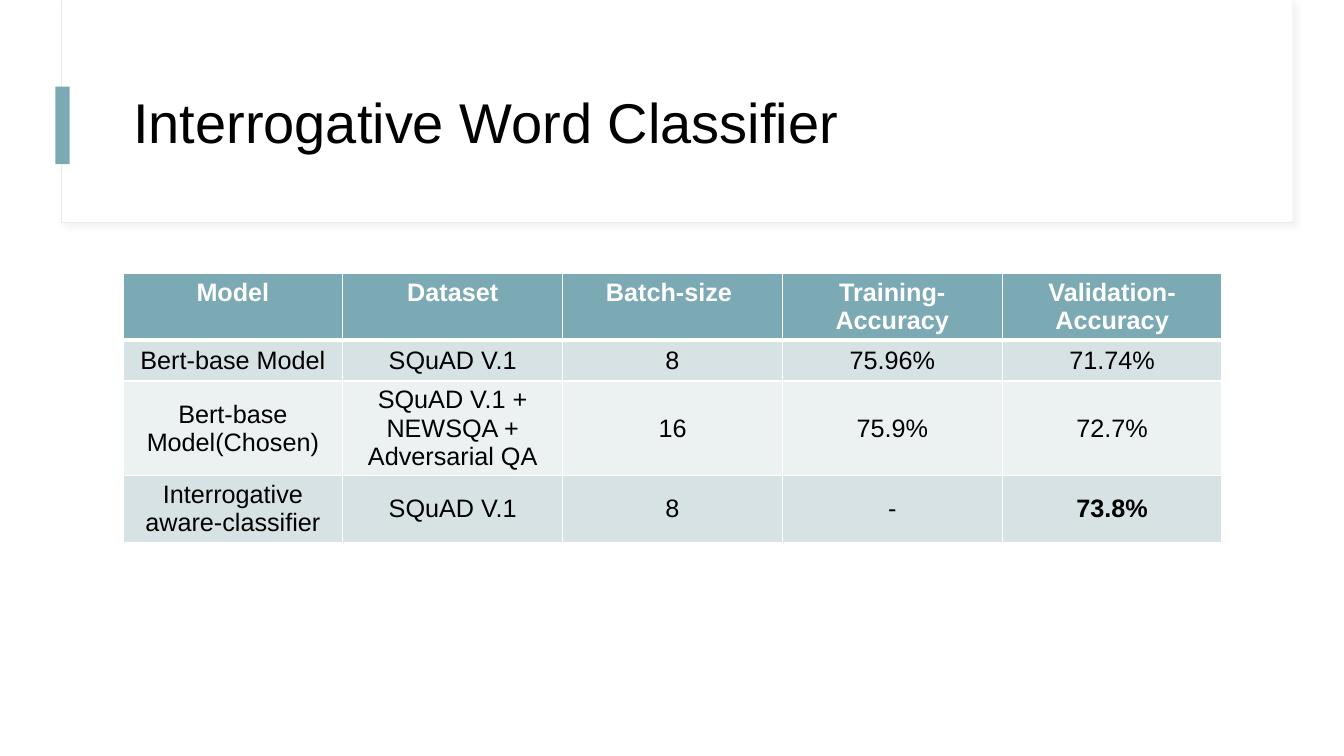
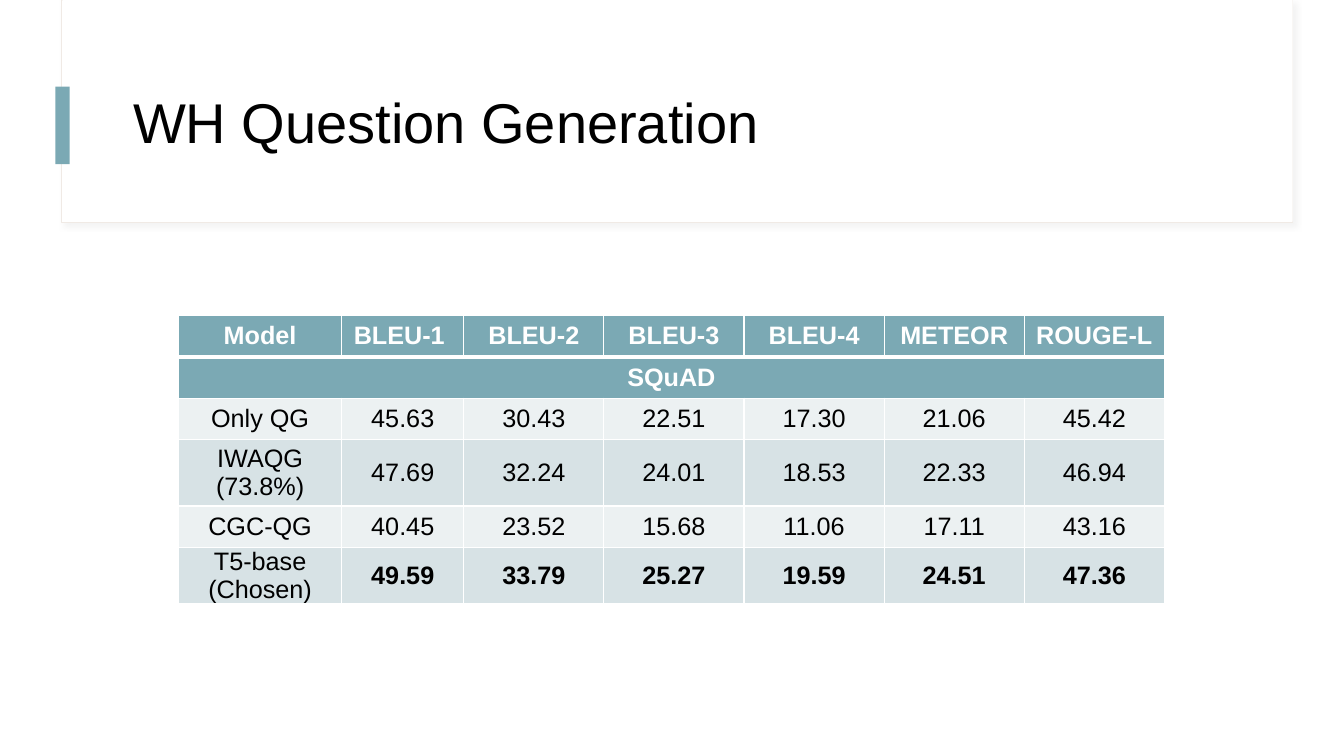
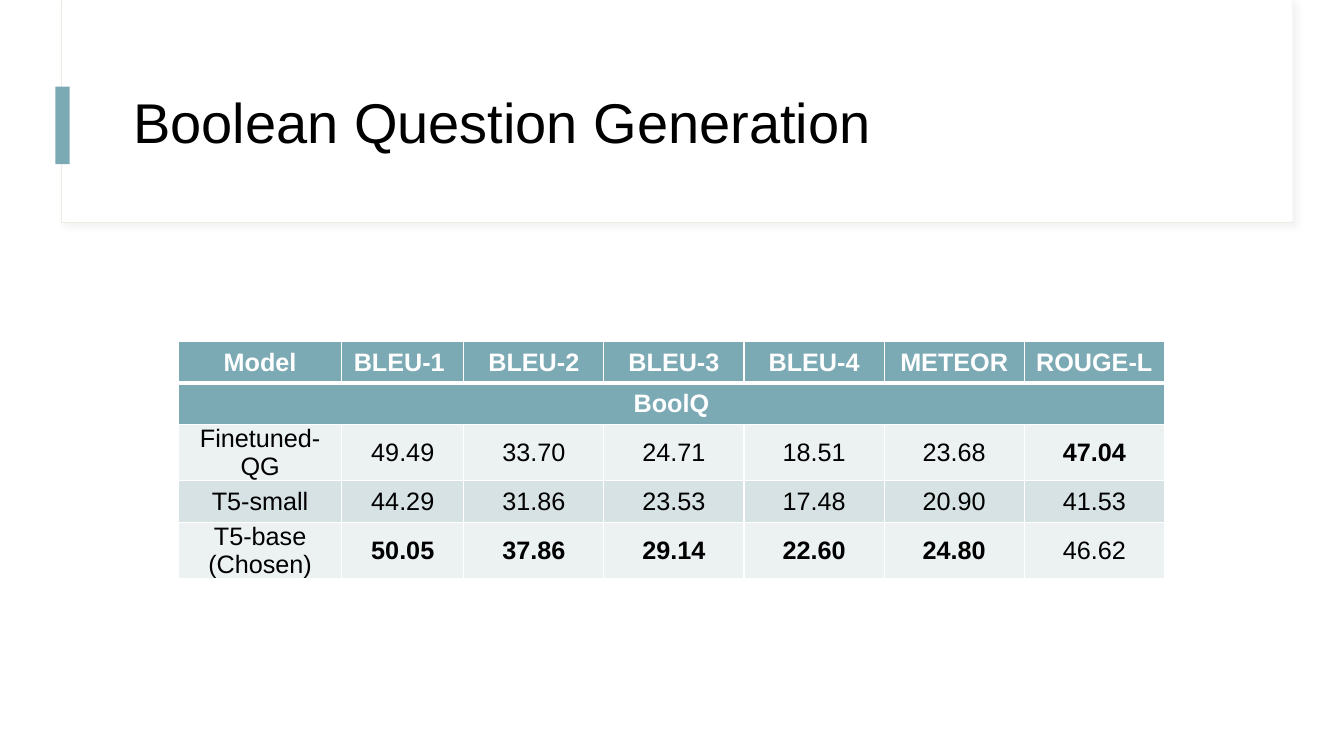
from dataclasses import dataclass

from lxml.etree import SubElement
from pptx import Presentation
from pptx.dml.color import RGBColor
from pptx.enum.shapes import MSO_SHAPE as Shape
from pptx.enum.text import MSO_ANCHOR as Anchor, MSO_AUTO_SIZE as AutoSize, PP_ALIGN as Align
from pptx.oxml.ns import qn
from pptx.util import Inches, Pt


@dataclass(frozen=True)
class Theme:
    font: str = "Arial"
    title_size: int = 40
    cell_size: int = 18
    accent: str = "7BA9B4"
    bands: tuple = ("D7E2E5", "ECF1F2")
    frame: str = "F0EAE5"
    shadow: str = "D9D9D9"
    text: str = "000000"
    paper: str = "FFFFFF"
    row_height: float = 0.41
    grid_line: float = 1
    header_line: float = 3


THEME = Theme()
SLIDE_SIZE = (13.33, 7.5)
TITLE_BOX = (1.22, 0.6, 11.12, 1.29)

# Content: a row with one entry spans the table; "best" values are bold,
# "tight" rows have no space above and below the text
SCORES = ["Model", "BLEU-1 ", "BLEU-2", "BLEU-3", "BLEU-4", "METEOR", "ROUGE-L"]
SCORE_COLUMNS = [1.62, 1.21] + [1.39] * 5

SLIDES = [
    {
        "title": "Interrogative Word Classifier",
        "corner": (1.22, 2.71),
        "columns": [2.18] * 5,
        "header_anchor": Anchor.TOP,
        "rows": [
            ["Model", "Dataset", "Batch-size ", "Training-Accuracy", "Validation-Accuracy"],
            ["Bert-base Model", "SQuAD V.1", " 8 ", "75.96%", "71.74%"],
            ["Bert-base Model(Chosen)", "SQuAD V.1 + NEWSQA +\nAdversarial QA",
             "16", "75.9%", "72.7%"],
            ["Interrogative aware-classifier", "SQuAD V.1", "8", "-", "73.8%"],
        ],
        "best": {"73.8%"},
        "tight": set(),
    },
    {
        "title": "WH Question Generation",
        "corner": (1.77, 3.13),
        "columns": SCORE_COLUMNS,
        "header_anchor": Anchor.MIDDLE,
        "rows": [
            SCORES,
            ["SQuAD"],
            ["Only QG", "45.63", "30.43", "22.51", "17.30", "21.06", "45.42"],
            ["IWAQG (73.8%)", "47.69", "32.24", "24.01", "18.53", "22.33", "46.94"],
            ["CGC-QG", "40.45", "23.52", "15.68", "11.06", "17.11", "43.16"],
            ["T5-base\n(Chosen)", "49.59", "33.79", "25.27", "19.59", "24.51", "47.36"],
        ],
        "best": {"49.59", "33.79", "25.27", "19.59", "24.51", "47.36"},
        "tight": {4, 5},
    },
    {
        "title": "Boolean Question Generation",
        "corner": (1.77, 3.39),
        "columns": SCORE_COLUMNS,
        "header_anchor": Anchor.MIDDLE,
        "rows": [
            SCORES,
            ["BoolQ"],
            ["Finetuned-QG", "49.49", "33.70", "24.71", "18.51", "23.68", "47.04"],
            ["T5-small", "44.29", "31.86", "23.53", "17.48", "20.90", "41.53"],
            ["T5-base\n(Chosen)", "50.05", "37.86", "29.14", "22.60", "24.80", "46.62"],
        ],
        "best": {"47.04", "50.05", "37.86", "29.14", "22.60", "24.80"},
        "tight": {2, 4},
    },
]


def rgb(color):
    return RGBColor.from_string(color)


def inches(*lengths):
    return [Inches(length) for length in lengths]


def format_text(frame, size, color, align):
    for paragraph in frame.paragraphs:
        paragraph.alignment = align
        for run in paragraph.runs:
            run.font.name = THEME.font
            run.font.size = Pt(size)
            run.font.color.rgb = rgb(color)


# Shared layout: title frame, accent bar and title position
def add_panel(slide, box, fill, line=None):
    panel = slide.shapes.add_shape(Shape.RECTANGLE, *inches(*box))
    panel.shadow.inherit = False
    panel.fill.solid()
    panel.fill.fore_color.rgb = rgb(fill)
    if line:
        panel.line.color.rgb = rgb(line)
        panel.line.width = Pt(0.75)
    else:
        panel.line.fill.background()
    return panel


def add_soft_shadow(panel):
    effects = panel._element.spPr.find(qn("a:effectLst"))
    shadow = SubElement(effects, qn("a:outerShdw"), blurRad=str(Pt(4)), dist=str(Pt(3)),
                        dir=str(45 * 60000), algn="tl", rotWithShape="0")
    color = SubElement(shadow, qn("a:srgbClr"), val=THEME.shadow)
    SubElement(color, qn("a:alpha"), val="30000")


def decorate_layout(layout, slide):
    """Draw the frame on a slide, then move it behind the layout's title."""
    frame = add_panel(slide, (0.61, 0, 12.21, 2.21), THEME.paper, THEME.frame)
    add_soft_shadow(frame)
    face = add_panel(slide, (0.62, 0, 12.2, 2.2), THEME.paper)
    bar = add_panel(slide, (0.55, 0.86, 0.14, 0.77), THEME.accent)
    for position, panel in enumerate((frame, face, bar), start=2):
        layout.shapes._spTree.insert(position, panel._element)
    title = layout.placeholders[0]
    title.left, title.top, title.width, title.height = inches(*TITLE_BOX)


def set_title(slide, text):
    frame = slide.shapes.title.text_frame
    frame.text = text
    frame.auto_size = AutoSize.NONE
    frame.vertical_anchor = Anchor.MIDDLE
    frame.paragraphs[0].line_spacing = 0.9
    format_text(frame, THEME.title_size, THEME.text, Align.LEFT)


# Tables
def set_borders(cell, row):
    widths = {
        "lnL": THEME.grid_line,
        "lnR": THEME.grid_line,
        "lnT": THEME.header_line if row == 1 else THEME.grid_line,
        "lnB": THEME.header_line if row == 0 else THEME.grid_line,
    }
    properties = cell._tc.get_or_add_tcPr()
    for side, width in widths.items():
        line = SubElement(properties, qn(f"a:{side}"), w=str(Pt(width)))
        fill = SubElement(line, qn("a:solidFill"))
        SubElement(fill, qn("a:srgbClr"), val=THEME.paper)


def add_results(slide, content):
    rows, columns = content["rows"], content["columns"]
    table = slide.shapes.add_table(
        len(rows), len(columns),
        *inches(*content["corner"], sum(columns), THEME.row_height * len(rows))).table
    for column, width in zip(table.columns, columns):
        column.width = Inches(width)

    for r, values in enumerate(rows):
        spans = len(values) == 1
        heading = r == 0 or spans
        if spans:
            table.cell(r, 0).merge(table.cell(r, len(columns) - 1))
        for c in range(len(columns)):
            cell = table.cell(r, c)
            set_borders(cell, r)
            cell.fill.solid()
            cell.fill.fore_color.rgb = rgb(THEME.accent if heading else THEME.bands[(r - 1) % 2])
            cell.vertical_anchor = Anchor.MIDDLE if r else content["header_anchor"]
            if r in content["tight"]:
                cell.margin_left = cell.margin_right = Inches(0.07)
                cell.margin_top = cell.margin_bottom = 0
            if c >= len(values):
                continue
            cell.text_frame.text = values[c]
            format_text(cell.text_frame, THEME.cell_size,
                        THEME.paper if heading else THEME.text, Align.CENTER)
            for paragraph in cell.text_frame.paragraphs:
                for run in paragraph.runs:
                    run.font.bold = heading or values[c] in content["best"]


def main():
    deck = Presentation()
    deck.slide_width, deck.slide_height = inches(*SLIDE_SIZE)
    layout = deck.slide_layouts.get_by_name("Title Only")
    for number, content in enumerate(SLIDES):
        slide = deck.slides.add_slide(layout)
        if number == 0:
            decorate_layout(layout, slide)
        set_title(slide, content["title"])
        add_results(slide, content)
    deck.save("out.pptx")


if __name__ == "__main__":
    main()
